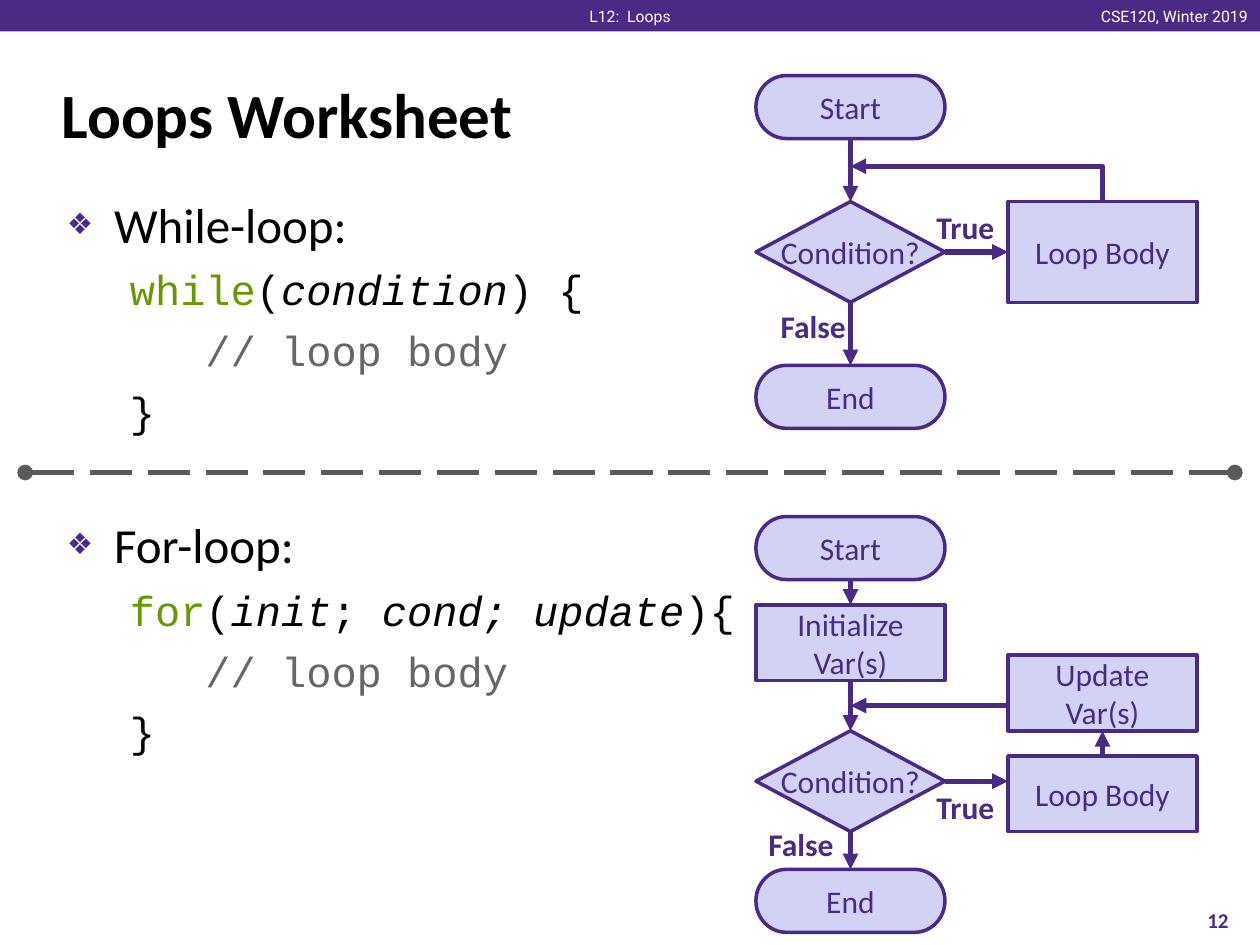
"""Build the Loops Worksheet slide with two flowcharts and their code outlines."""
from dataclasses import dataclass
from typing import Any, Optional

from lxml.etree import SubElement
from pptx import Presentation
from pptx.dml.color import RGBColor
from pptx.enum.dml import MSO_LINE
from pptx.enum.shapes import MSO_CONNECTOR as Route, MSO_SHAPE as Preset
from pptx.enum.text import MSO_ANCHOR as Anchor, MSO_AUTO_SIZE as AutoSize, PP_ALIGN as Align
from pptx.oxml.ns import qn
from pptx.util import Pt

PURPLE = RGBColor(0x4B, 0x2A, 0x85)
LAVENDER = RGBColor(0xD2, 0xD2, 0xF4)
GREEN = RGBColor(0x66, 0x99, 0x00)
COMMENT_GRAY = RGBColor(0x66, 0x66, 0x66)
DIVIDER_GRAY = RGBColor(0x5A, 0x5A, 0x5A)
BLACK = RGBColor(0, 0, 0)
WHITE = RGBColor(0xFF, 0xFF, 0xFF)

HEADER_FONT = {"name": "Roboto", "size": Pt(9)}
TITLE_FONT = {"name": "Calibri", "size": Pt(36), "bold": True}
HEADING_FONT = {"name": "Calibri", "size": Pt(28)}
CODE_FONT = {"name": "Courier New", "size": Pt(24)}
NODE_FONT = {"name": "Calibri", "size": Pt(18)}
BRANCH_FONT = {"name": "Calibri", "size": Pt(18), "bold": True}
NUMBER_FONT = {"name": "Calibri", "size": Pt(12), "bold": True}

MAIN_LEFT, SIDE_LEFT, NODE_WIDTH = 432, 576, 108
MAIN_AXIS = MAIN_LEFT + NODE_WIDTH / 2
SIDE_AXIS = SIDE_LEFT + NODE_WIDTH / 2
MAIN_RIGHT = MAIN_LEFT + NODE_WIDTH
TOP, LEFT, BOTTOM, RIGHT = range(4)


@dataclass
class Node:
    key: str
    label: str
    preset: Preset
    left: float
    top: float
    height: float


@dataclass
class Link:
    begin: tuple[float, float]
    end: tuple[float, float]
    source: Optional[tuple[str, int]] = None
    target: Optional[tuple[str, int]] = None


@dataclass
class Label:
    text: str
    left: float
    top: float
    width: float
    height: float
    font: dict[str, Any]
    color: RGBColor
    align: Align


@dataclass
class Piece:
    text: str
    color: RGBColor = BLACK
    italic: bool = False


def apply(target: Any, values: dict[str, Any]) -> None:
    for name, value in values.items():
        setattr(target, name, value)


def write(paragraph: Any, text: str, font: dict[str, Any], color: RGBColor) -> Any:
    run = paragraph.add_run()
    run.text = text
    apply(run.font, font)
    run.font.color.rgb = color
    return run


def place(shape: Any, left: float, top: float, width: float, height: float) -> None:
    apply(shape, {"left": Pt(left), "top": Pt(top), "width": Pt(width), "height": Pt(height)})


def add_label(slide: Any, label: Label) -> None:
    box = slide.shapes.add_textbox(Pt(label.left), Pt(label.top), Pt(label.width), Pt(label.height))
    apply(box.text_frame, {"word_wrap": False, "vertical_anchor": Anchor.MIDDLE})
    paragraph = box.text_frame.paragraphs[0]
    paragraph.alignment = label.align
    write(paragraph, label.text, label.font, label.color)


def add_node(slide: Any, node: Node) -> Any:
    shape = slide.shapes.add_shape(
        node.preset, Pt(node.left), Pt(node.top), Pt(NODE_WIDTH), Pt(node.height))
    shape.shadow.inherit = False
    shape.fill.solid()
    shape.fill.fore_color.rgb = LAVENDER
    shape.line.color.rgb = PURPLE
    shape.line.width = Pt(2)
    frame = shape.text_frame
    apply(frame, {"word_wrap": True, "vertical_anchor": Anchor.MIDDLE})
    if node.preset == Preset.FLOWCHART_DECISION:
        apply(frame, {"word_wrap": False, "margin_left": 0, "margin_right": 0})
    frame.paragraphs[0].alignment = Align.CENTER
    write(frame.paragraphs[0], node.label, NODE_FONT, PURPLE)
    return shape


def add_line(slide: Any, begin: tuple[float, float], end: tuple[float, float], color: RGBColor,
             ends: dict[str, str], route: Route = Route.STRAIGHT,
             dash: Optional[MSO_LINE] = None) -> Any:
    connector = slide.shapes.add_connector(route, *map(Pt, begin + end))
    connector.line.color.rgb = color
    connector.line.width = Pt(3)
    if dash:
        connector.line.dash_style = dash
    properties = connector._element.spPr
    for tag, kind in ends.items():
        SubElement(properties.find(qn("a:ln")), qn(f"a:{tag}"), type=kind)
    SubElement(properties, qn("a:effectLst"))
    return connector


def add_flowchart(slide: Any, nodes: list[Node], links: list[Link]) -> None:
    drawn = {node.key: add_node(slide, node) for node in nodes}
    for link in links:
        arrow = add_line(slide, link.begin, link.end, PURPLE, {"tailEnd": "triangle"})
        if link.source:
            arrow.begin_connect(drawn[link.source[0]], link.source[1])
        if link.target:
            arrow.end_connect(drawn[link.target[0]], link.target[1])


def add_outline(frame: Any, sections: list[tuple[str, list[Piece]]]) -> None:
    for number, (heading, opening) in enumerate(sections):
        paragraph = frame.add_paragraph() if number else frame.paragraphs[0]
        paragraph.space_before = Pt(45 if number else 0)
        properties = paragraph._p.get_or_add_pPr()
        apply_indent(properties, 27, -27)
        SubElement(SubElement(properties, qn("a:buClr")), qn("a:srgbClr"), val=str(PURPLE))
        SubElement(properties, qn("a:buSzPct"), val="60000")
        SubElement(properties, qn("a:buChar"), char="❖")
        write(paragraph, heading, HEADING_FONT, BLACK)
        for line in (opening, [Piece("   "), Piece("// loop body", COMMENT_GRAY)], [Piece("}")]):
            paragraph = frame.add_paragraph()
            paragraph.space_before = Pt(6)
            properties = paragraph._p.get_or_add_pPr()
            apply_indent(properties, 36, 0)
            SubElement(properties, qn("a:buNone"))
            for piece in line:
                write(paragraph, piece.text, CODE_FONT | {"italic": piece.italic}, piece.color)


def apply_indent(properties: Any, margin: float, indent: float) -> None:
    properties.set("marL", str(Pt(margin)))
    properties.set("indent", str(Pt(indent)))


def main() -> None:
    deck = Presentation()
    apply(deck, {"slide_width": Pt(720), "slide_height": Pt(540)})
    slide = deck.slides.add_slide(deck.slide_layouts[1])
    title, outline = slide.placeholders

    banner = slide.shapes.add_shape(Preset.RECTANGLE, 0, 0, Pt(720), Pt(18))
    banner.shadow.inherit = False
    banner.fill.solid()
    banner.fill.fore_color.rgb = PURPLE
    banner.line.fill.background()

    place(title, 28, 34.5, 662, 60)
    apply(title.text_frame, {"vertical_anchor": Anchor.MIDDLE, "auto_size": AutoSize.NONE})
    title.text_frame.paragraphs[0].alignment = Align.LEFT
    write(title.text_frame.paragraphs[0], "Loops Worksheet", TITLE_FONT, BLACK)

    place(outline, 31, 107.5, 659, 392)
    outline.text_frame.auto_size = AutoSize.NONE
    add_outline(outline.text_frame, [
        ("While-loop:", [Piece("while", GREEN), Piece("("), Piece("condition", italic=True),
                         Piece(") {")]),
        ("For-loop:", [Piece("for", GREEN), Piece("("), Piece("init", italic=True), Piece("; "),
                       Piece("cond; update", italic=True), Piece("){")]),
    ])

    terminator, process, decision = (
        Preset.FLOWCHART_TERMINATOR, Preset.FLOWCHART_PROCESS, Preset.FLOWCHART_DECISION)
    add_flowchart(slide, [
        Node("start", "Start", terminator, MAIN_LEFT, 43.2, 36),
        Node("test", "Condition?", decision, MAIN_LEFT, 115.2, 57.6),
        Node("end", "End", terminator, MAIN_LEFT, 208.8, 36),
        Node("body", "Loop Body", process, SIDE_LEFT, 115.2, 57.6),
    ], [
        Link((MAIN_AXIS, 79.2), (MAIN_AXIS, 115.2), ("start", BOTTOM), ("test", TOP)),
        Link((MAIN_AXIS, 172.8), (MAIN_AXIS, 208.8), ("test", BOTTOM), ("end", TOP)),
        Link((MAIN_RIGHT, 144), (SIDE_LEFT, 144), ("test", RIGHT), ("body", LEFT)),
    ])
    loop_back = add_line(slide, (MAIN_AXIS, 95), (SIDE_AXIS, 115.2), PURPLE,
                         {"headEnd": "triangle"}, Route.ELBOW)
    loop_back._element.spPr.find(qn("a:prstGeom")).set("prst", "bentConnector2")

    add_flowchart(slide, [
        Node("start", "Start", terminator, MAIN_LEFT, 295.2, 36),
        Node("init", "Initialize Var(s)", process, MAIN_LEFT, 345.6, 43.2),
        Node("test", "Condition?", decision, MAIN_LEFT, 417.6, 57.6),
        Node("end", "End", terminator, MAIN_LEFT, 496.8, 36),
        Node("body", "Loop Body", process, SIDE_LEFT, 432, 43.2),
        Node("update", "Update Var(s)", process, SIDE_LEFT, 374.4, 43.2),
    ], [
        Link((MAIN_AXIS, 331.2), (MAIN_AXIS, 345.6), ("start", BOTTOM), ("init", TOP)),
        Link((MAIN_AXIS, 388.8), (MAIN_AXIS, 417.6), ("init", BOTTOM), ("test", TOP)),
        Link((MAIN_AXIS, 475.2), (MAIN_AXIS, 496.8), ("test", BOTTOM), ("end", TOP)),
        Link((MAIN_RIGHT, 446.4), (SIDE_LEFT, 446.4), ("test", RIGHT)),
        Link((SIDE_AXIS, 432), (SIDE_AXIS, 417.6), ("body", TOP), ("update", BOTTOM)),
        Link((SIDE_LEFT, 403.2), (MAIN_AXIS, 403.2)),
    ])
    add_line(slide, (14.4, 270), (705.6, 270), DIVIDER_GRAY,
             {"headEnd": "oval", "tailEnd": "oval"}, dash=MSO_LINE.LONG_DASH)

    for label in (
        Label("CSE120, Winter 2019", 619, 0, 101, 18, HEADER_FONT, WHITE, Align.RIGHT),
        Label("L12:  Loops", 329, 0, 62, 18, HEADER_FONT, WHITE, Align.CENTER),
        Label("12", 672, 511, 48, 29, NUMBER_FONT, PURPLE, Align.CENTER),
        Label("False", 439, 171.5, 52, 29, BRANCH_FONT, PURPLE, Align.LEFT),
        Label("True", 528, 115.2, 48, 29, BRANCH_FONT, PURPLE, Align.LEFT),
        Label("False", 432, 468, 52, 29, BRANCH_FONT, PURPLE, Align.LEFT),
        Label("True", 528, 446.4, 48, 29, BRANCH_FONT, PURPLE, Align.LEFT),
    ):
        add_label(slide, label)
    deck.save("out.pptx")


if __name__ == "__main__":
    main()
